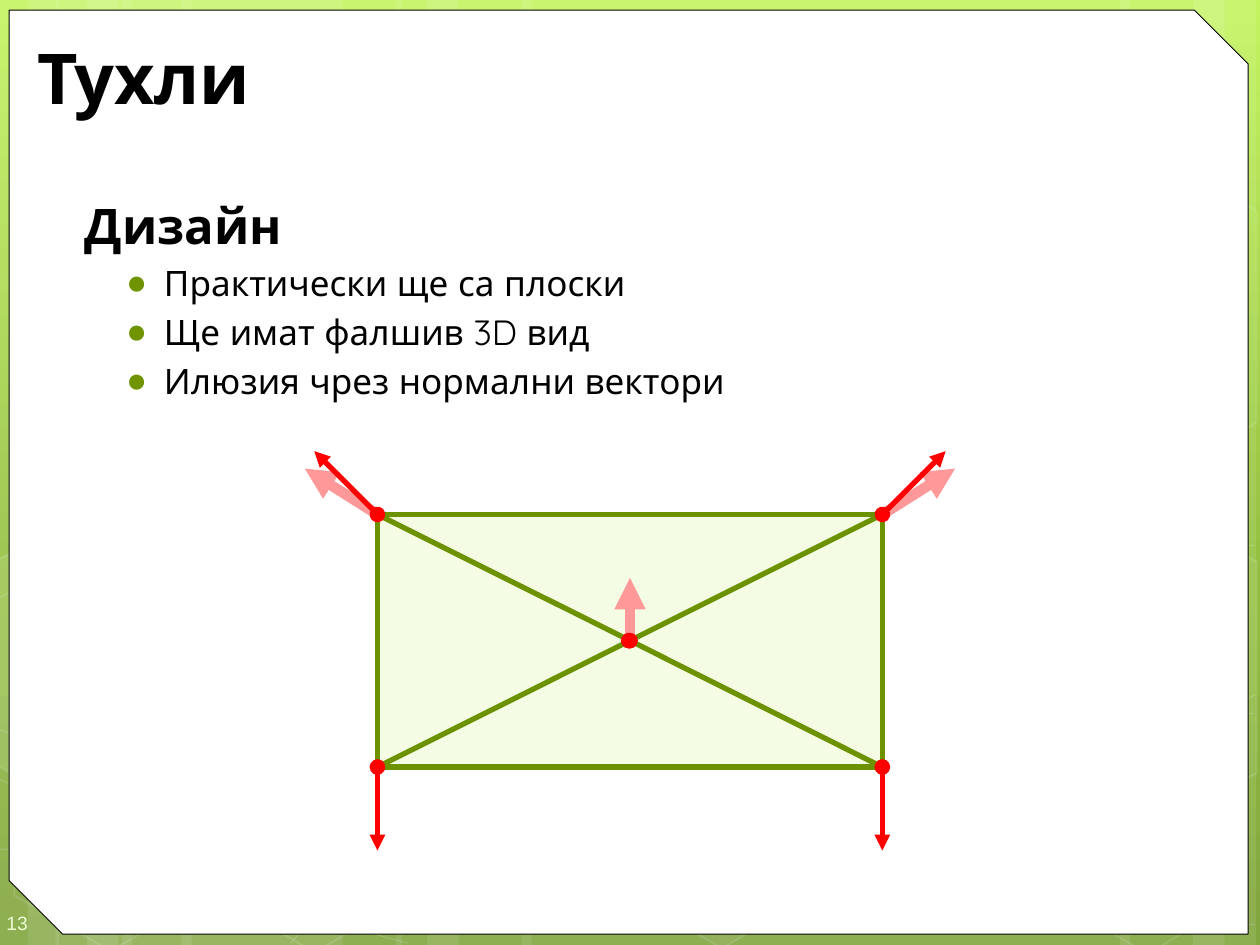
from copy import deepcopy
from dataclasses import dataclass
from typing import Optional

from lxml import etree
from pptx import Presentation
from pptx.dml.color import RGBColor
from pptx.enum import shapes, text
from pptx.oxml.ns import qn
from pptx.util import Pt

WHITE = RGBColor(0xFF, 0xFF, 0xFF)
BLACK = RGBColor(0, 0, 0)
RED = RGBColor(0xFF, 0, 0)
PINK = RGBColor(0xFF, 0x99, 0x99)
GREEN = RGBColor(0x6D, 0x92, 0)
BULLET_GREEN = RGBColor(0x6F, 0x94, 0)
BRICK_FILL = RGBColor(0xF4, 0xFC, 0xE4)
NUMBER_COLOR = RGBColor(0xEE, 0xFF, 0xD6)
BACKDROP = [(0, RGBColor(0xC3, 0xF3, 0x5F)), (0.62, RGBColor(0x93, 0xBF, 0x3F)),
            (1, RGBColor(0x81, 0xA5, 0x3E))]
PAGE_W, PAGE_H = 720, 540
FONT = "Quicksand"

Point = tuple[float, float]


@dataclass
class Band:
    left: float
    width: float


@dataclass
class Link:
    start: Point
    end: Point
    color: RGBColor = GREEN
    weight: float = 3
    head: Optional[str] = None
    tail: Optional[str] = None


@dataclass
class Entry:
    words: str
    size: float
    bold: bool = False
    space: float = 0
    bullet: bool = False


def set_alpha(element, percent: float) -> None:
    for color in element.iter(qn("a:srgbClr")):
        etree.SubElement(color, qn("a:alpha"), val=str(int(percent * 1000)))


def paint(shape, fill: Optional[RGBColor], fill_alpha: float = 100,
          line: Optional[RGBColor] = None, weight: float = 1, line_alpha: float = 100) -> None:
    shape.shadow.inherit = False
    if fill is None:
        shape.fill.background()
    else:
        shape.fill.solid()
        shape.fill.fore_color.rgb = fill
        if fill_alpha < 100:
            set_alpha(shape.fill._xPr.find(qn("a:solidFill")), fill_alpha)
    if line is None:
        shape.line.fill.background()
    else:
        shape.line.color.rgb = line
        shape.line.width = Pt(weight)
        if line_alpha < 100:
            set_alpha(shape.line._get_or_add_ln(), line_alpha)


def add_block(page, kind, left: float, top: float, width: float, height: float):
    return page.shapes.add_shape(kind, Pt(left), Pt(top), Pt(width), Pt(height))


def add_outline(page, points: list[Point], close: bool):
    builder = page.shapes.build_freeform(*points[0], scale=Pt(1))
    builder.add_line_segments(points[1:], close=close)
    return builder.convert_to_shape()


def add_curve(page, points: list[Point]):
    """Draw a chain of cubic curves: a start, then three points per curve."""
    shape = add_outline(page, points, close=False)
    segments = list(shape._element.iter(qn("a:lnTo")))
    for first in range(0, len(segments), 3):
        outline = segments[first].getparent()
        cubic = etree.SubElement(outline, qn("a:cubicBezTo"))
        for segment in segments[first:first + 3]:
            cubic.append(segment[0])
            outline.remove(segment)
    return shape


def add_link(page, link: Link) -> None:
    line = page.shapes.add_connector(shapes.MSO_CONNECTOR.STRAIGHT,
                                     *(Pt(v) for v in link.start + link.end))
    line.line.color.rgb = link.color
    line.line.width = Pt(link.weight)
    stroke = line.line._get_or_add_ln()
    for tag, kind in (("a:headEnd", link.head), ("a:tailEnd", link.tail)):
        if kind:
            etree.SubElement(stroke, qn(tag), type=kind)
    etree.SubElement(line._element.spPr, qn("a:effectLst"))


def add_text(page, left: float, top: float, width: float, height: float,
             entries: list[Entry], color: RGBColor = BLACK, font: str = FONT,
             anchor=text.MSO_ANCHOR.MIDDLE):
    box = page.shapes.add_textbox(Pt(left), Pt(top), Pt(width), Pt(height))
    frame = box.text_frame
    frame.word_wrap = True
    frame.vertical_anchor = anchor
    frame.text = "\n".join(entry.words for entry in entries)
    for para, entry in zip(frame.paragraphs, entries):
        if entry.space:
            para.space_before = Pt(entry.space)
        if entry.bullet:
            props = para._p.get_or_add_pPr()
            props.set("marL", str(Pt(50.4)))
            props.set("indent", str(Pt(-21.6)))
            tint = etree.SubElement(props, qn("a:buClr"))
            etree.SubElement(tint, qn("a:srgbClr"), val=str(BULLET_GREEN))
            etree.SubElement(props, qn("a:buFont"), typeface="Arial")
            etree.SubElement(props, qn("a:buChar"), char="●")
        for span in para.runs:
            span.font.name = font
            span.font.size = Pt(entry.size)
            span.font.bold = entry.bold
            span.font.color.rgb = color
    return box


# Decoration that shows around the white panel
BANDS = [Band(69.8, 126), Band(-2.2, 36), Band(15.8, 59.8), Band(103.7, 126), Band(31.7, 36),
         Band(49.7, 59.8), Band(519.8, 126), Band(681.8, 36), Band(640.1, 59.8),
         Band(298.1, 221.8), Band(226.1, 36), Band(244.1, 59.8)]
CURVES = [
    [(-3, 485), (36, 487), (75, 489), (129, 488), (183, 487), (249, 486), (322, 479),
     (394, 472), (496, 458), (562, 444), (628, 431), (696, 409), (717, 397)],
    [(-3, 343), (18, 332), (39, 321), (79, 310), (120, 300), (178, 284), (242, 279),
     (306, 274), (384, 273), (463, 279), (542, 284), (674, 307), (717, 312)],
    [(-3, 444), (83, 484), (170, 523), (233, 539)],
    [(-3, 416), (19, 424), (42, 432), (84, 444), (126, 454), (189, 472), (248, 485),
     (309, 497), (384, 510), (444, 517), (503, 525), (568, 528), (606, 530),
     (644, 533), (654, 531), (672, 531), (690, 531), (704, 529), (717, 528)],
    [(166, 539), (179, 525), (192, 510), (210, 498), (227, 485), (251, 470), (271, 460),
     (291, 450), (304, 446), (330, 438), (356, 431), (405, 421), (430, 416),
     (455, 411), (459, 411), (482, 410), (504, 408), (539, 405), (564, 405),
     (588, 404), (630, 405), (630, 405), (646, 405), (662, 405), (678, 405),
     (691, 405), (703, 406), (710, 407), (716, 408), (714, 407), (716, 408)],
]
HEXAGONS = [(349.2, 424, 6), (0, 425.5, 0), (116.6, 426.2, 0), (592.6, 427, 0)]
RIGHT_EDGE = [(659, 349), (713, 317.5), (718, 321), (718.5, 441.5), (713.5, 444), (658, 412.5)]
CUT_HEXAGONS = [
    ([(-2, 320.5), (6, 315.5), (61, 347), (60.5, 410.5), (6.5, 442), (-2, 437)], 10),
    (RIGHT_EDGE, 4),
    ([(x, y - 200.2) for x, y in RIGHT_EDGE], 0),
]

# Brick with its normal vectors
LEFT, RIGHT, TOP, BOTTOM = 215.7, 504.2, 294, 438.3
CENTER = (360, 366.1)
CORNERS = [(LEFT, TOP), (RIGHT, TOP), (LEFT, BOTTOM), (RIGHT, BOTTOM)]
FACE_NORMALS = [Link((LEFT, TOP), (174.2, 267.8), PINK, 6, tail="triangle"),
                Link((RIGHT, TOP), (545.8, 267.8), PINK, 6, tail="triangle")]
DIAGONALS = [Link(CENTER, corner) for corner in CORNERS]
TIPS = [(179.6, 257.8), (540.4, 257.8), (LEFT, 486), (RIGHT, 486)]
VERTEX_NORMALS = [Link(corner, tip, RED, head="oval", tail="triangle")
                  for corner, tip in zip(CORNERS, TIPS)]
CENTER_NORMAL = [Link(CENTER, (360, 330.2), PINK, 6, tail="triangle"),
                 Link(CENTER, (359.3, 366.1), RED, head="oval", tail="oval")]


def main() -> None:
    deck = Presentation()
    deck.slide_width, deck.slide_height = Pt(PAGE_W), Pt(PAGE_H)
    page = deck.slides.add_slide(deck.slide_layouts[6])

    # Background
    fill = page.background.fill
    fill.gradient()
    fill.gradient_angle = 270
    stops = page._element.xpath(".//a:gsLst")[0]
    stops.append(deepcopy(stops[0]))
    for stop, (position, color) in zip(fill.gradient_stops, BACKDROP):
        stop.position = position
        stop.color.rgb = color
    for band in BANDS:
        paint(add_block(page, shapes.MSO_SHAPE.RECTANGLE, band.left, 0, band.width, PAGE_H),
              WHITE, 10)
    for curve in CURVES:
        paint(add_curve(page, curve), None, line=WHITE, weight=0.5, line_alpha=20)
    for left, top, alpha in HEXAGONS:
        hexagon = add_block(page, shapes.MSO_SHAPE.HEXAGON, left, top, 126, 109.4)
        hexagon.adjustments[0], hexagon.adjustments[1] = 0.285, 1.155
        hexagon.rotation = 30
        paint(hexagon, WHITE if alpha else None, alpha, WHITE, 1, 12)
    for points, alpha in CUT_HEXAGONS:
        paint(add_outline(page, points, True), WHITE if alpha else None, alpha, WHITE, 1, 12)

    # White panel and page number
    panel = add_block(page, shapes.MSO_SHAPE.SNIP_2_DIAG_RECTANGLE, 5.2, 5.8, 708, 528)
    panel.adjustments[0], panel.adjustments[1] = 0, 0.058
    paint(panel, WHITE, line=BLACK, weight=0.5)
    number = add_text(page, 0, 511.2, 41.8, 28.8, [Entry("13", 11)], NUMBER_COLOR, "Arial")
    frame = number.text_frame
    frame.margin_left, frame.margin_right = Pt(3.6), Pt(0)
    frame.margin_top, frame.margin_bottom = Pt(10.8), Pt(7.2)

    # Title and list
    add_text(page, 14.2, 18, 681.8, 51.1, [Entry("Тухли", 40, bold=True)])
    bullets = ["Практически ще са плоски", "Ще имат фалшив 3D вид", "Илюзия чрез нормални вектори"]
    body = add_text(page, 36.2, 108, 678.2, 426.2, [Entry("Дизайн", 28, bold=True)]
                    + [Entry(words, 20, space=4, bullet=True) for words in bullets],
                    anchor=text.MSO_ANCHOR.TOP)
    body.text_frame.paragraphs[0]._p.get_or_add_pPr().set("marL", str(Pt(5.2)))

    # Brick diagram
    for link in FACE_NORMALS:
        add_link(page, link)
    brick = add_block(page, shapes.MSO_SHAPE.RECTANGLE, LEFT, TOP, RIGHT - LEFT, BOTTOM - TOP)
    paint(brick, BRICK_FILL, line=GREEN, weight=3)
    for link in DIAGONALS + VERTEX_NORMALS + CENTER_NORMAL:
        add_link(page, link)

    deck.save("out.pptx")


if __name__ == "__main__":
    main()
